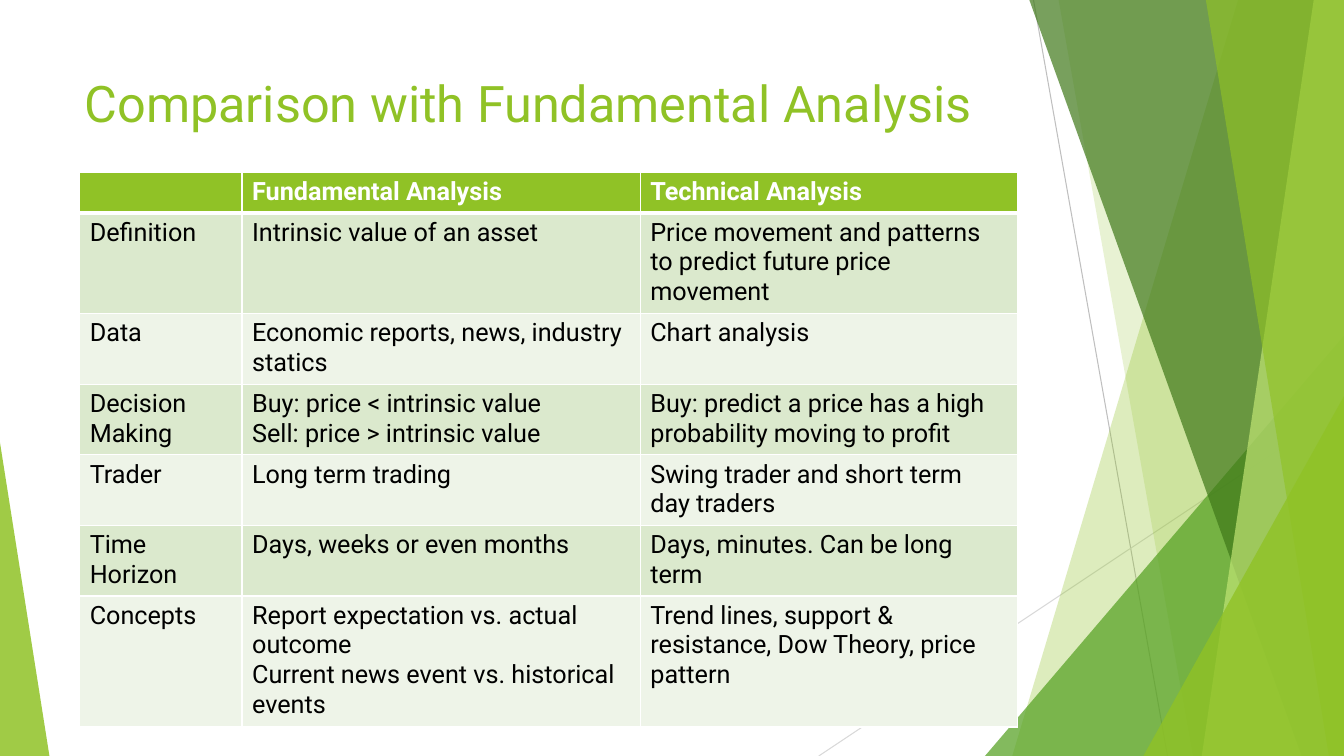
from lxml.etree import SubElement
from pptx import Presentation
from pptx.dml.color import RGBColor
from pptx.enum.shapes import MSO_CONNECTOR as CONN, MSO_SHAPE as SHAPE
from pptx.enum.text import MSO_ANCHOR as ANCHOR
from pptx.oxml.ns import qn
from pptx.util import Inches, Pt

LIME = RGBColor(0x90, 0xC2, 0x26)
GREEN = RGBColor(0x54, 0xA0, 0x21)
FOREST = RGBColor(0x3F, 0x78, 0x19)
PALE_LIME = RGBColor(0xC0, 0xE4, 0x74)
BAND_DARK = RGBColor(0xDB, 0xE9, 0xCD)
BAND_LIGHT = RGBColor(0xEE, 0xF4, 0xE8)
GREY = RGBColor(0xBF, 0xBF, 0xBF)
LIGHT_GREY = RGBColor(0xD9, 0xD9, 0xD9)
WHITE = RGBColor(0xFF, 0xFF, 0xFF)
BLACK = RGBColor(0, 0, 0)


class Deck:
    """Holds the style and the current slide; lengths are percent of the slide."""
    font = "Roboto"
    title_size, body_size = 36, 18
    cell_padding, line_height = 1.33, 3.92

    def __init__(self, prs):
        self.w, self.h = prs.slide_width, prs.slide_height
        self.shapes = prs.slides.add_slide(prs.slide_layouts[6]).shapes

    def x(self, share):
        return round(self.w * share / 100)

    def y(self, share):
        return round(self.h * share / 100)

    def box(self, left, top, width, height):
        return self.x(left), self.y(top), self.x(width), self.y(height)

    def line(self, x1, y1, x2, y2, color):
        ln = self.shapes.add_connector(CONN.STRAIGHT, self.x(x1), self.y(y1), self.x(x2), self.y(y2))
        ln.line.color.rgb, ln.line.width = color, Pt(0.75)
        SubElement(ln._element.spPr, qn("a:effectLst"))

    def paint(self, sp, color, opacity):
        sp.shadow.inherit = False
        sp.line.fill.background()
        sp.fill.solid()
        sp.fill.fore_color.rgb = color
        clr = sp._element.spPr.find(".//" + qn("a:srgbClr"))
        SubElement(clr, qn("a:alpha"), val=str(opacity * 1000))

    def blade(self, top_x, bottom_x, color, opacity):
        """Full-height shape from a slanted left edge to the slide's right edge."""
        fb = self.shapes.build_freeform(self.x(top_x), 0)
        fb.add_line_segments([(self.w, 0), (self.w, self.h), (self.x(bottom_x), self.h)])
        self.paint(fb.convert_to_shape(), color, opacity)

    def corner(self, left, top, width, apex, color, opacity):
        """Triangle standing on the slide's bottom edge."""
        sp = self.shapes.add_shape(SHAPE.ISOSCELES_TRIANGLE, *self.box(left, top, width, 100 - top))
        sp.adjustments[0] = apex
        self.paint(sp, color, opacity)

    def set_text(self, tf, text, size, color, bold=False):
        tf.text = text
        for p in tf.paragraphs:
            p.font.name, p.font.size = self.font, Pt(size)
            p.font.color.rgb, p.font.bold = color, bold

    def title(self, text, *box):
        tf = self.shapes.add_textbox(*self.box(*box)).text_frame
        tf.word_wrap, tf.vertical_anchor = True, ANCHOR.TOP
        self.set_text(tf, text, self.title_size, LIME)

    def borders(self, cell, **widths):
        tc_pr = cell._tc.get_or_add_tcPr()
        for side in "LRTB":
            ln = SubElement(tc_pr, qn("a:ln" + side), w=str(int(Pt(widths.get(side, 1)))))
            fill = SubElement(ln, qn("a:solidFill"))
            SubElement(fill, qn("a:srgbClr"), val=str(WHITE))

    def table(self, left, top, col_shares, rows, row_lines):
        heights = [self.cell_padding + n * self.line_height for n in row_lines]
        box = self.box(left, top, sum(col_shares), sum(heights))
        tbl = self.shapes.add_table(len(rows), len(col_shares), *box).table
        for col, share in zip(tbl.columns, col_shares):
            col.width = self.x(share)
        for i, (row, texts) in enumerate(zip(tbl.rows, rows)):
            row.height = self.y(heights[i])
            header = i == 0
            band = LIME if header else (BAND_LIGHT, BAND_DARK)[i % 2]
            edges = {0: {"B": 3}, 1: {"T": 3}}.get(i, {})
            for cell, text in zip(row.cells, texts):
                self.borders(cell, **edges)
                cell.fill.solid()
                cell.fill.fore_color.rgb = band
                self.set_text(cell.text_frame, text, self.body_size, WHITE if header else BLACK, header)


prs = Presentation()
prs.slide_width, prs.slide_height = Inches(13.33), Inches(7.5)
deck = Deck(prs)

# Background facets
deck.line(76.9, 0, 86.87, 100, GREY)
deck.line(100, 53.73, 60.92, 100, LIGHT_GREY)
deck.blade(92.12, 75.32, LIME, 30)
deck.blade(78.77, 88.75, LIME, 20)
deck.corner(73.29, 44.4, 26.71, 1, GREEN, 72)
for blade in [(76.59, 96.85, FOREST, 70), (97.75, 89.42, PALE_LIME, 70), (89.72, 98.87, LIME, 65)]:
    deck.blade(*blade)
deck.corner(85.07, 52.4, 14.93, 1, LIME, 80)
deck.corner(0, 58.53, 3.68, 0, LIME, 85)

# Title
deck.title("Comparison with Fundamental Analysis", 5.55, 8.93, 70.52, 19.2)

# Comparison table
COMPARISON = [
    ("", "Fundamental Analysis", "Technical Analysis"),
    ("Definition", "Intrinsic value of an asset",
     "Price movement and patterns to predict future price movement"),
    ("Data", "Economic reports, news, industry statics", "Chart analysis"),
    ("Decision Making", "Buy: price < intrinsic value\nSell: price > intrinsic value",
     "Buy: predict a price has a high probability moving to profit"),
    ("Trader", "Long term trading", "Swing trader and short term day traders"),
    ("Time Horizon", "Days, weeks or even months", "Days, minutes. Can be long term"),
    ("Concepts", "Report expectation vs. actual outcome\nCurrent news event vs. historical events",
     "Trend lines, support & resistance, Dow Theory, price pattern"),
]
deck.table(5.93, 22.8, (12.08, 29.63, 28.06), COMPARISON, row_lines=(1, 3, 2, 2, 2, 2, 4))

prs.save("out.pptx")
